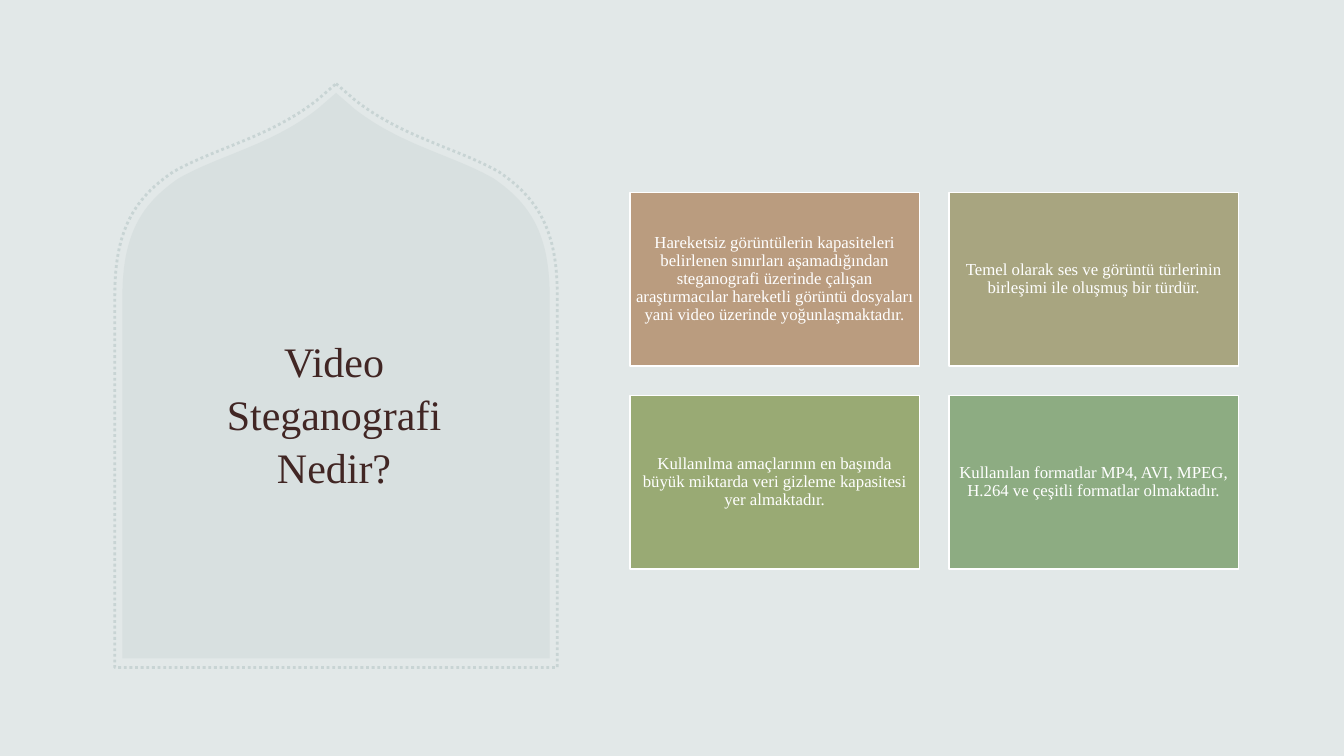
from lxml.etree import SubElement
from pptx import Presentation
from pptx.dml.color import RGBColor as RGB
from pptx.enum.dml import MSO_LINE
from pptx.enum.shapes import MSO_SHAPE
from pptx.enum.text import MSO_ANCHOR, PP_ALIGN
from pptx.oxml.ns import qn
from pptx.util import Cm, Pt

# Content
TITLE = "Video Steganografi Nedir?"
CARDS = [
    ("Hareketsiz görüntülerin kapasiteleri belirlenen sınırları aşamadığından "
     "steganografi üzerinde çalışan araştırmacılar hareketli görüntü dosyaları "
     "yani video üzerinde yoğunlaşmaktadır.", "BA9C7F"),
    ("Temel olarak ses ve görüntü türlerinin birleşimi ile oluşmuş bir türdür.", "A8A580"),
    ("Kullanılma amaçlarının en başında büyük miktarda veri gizleme kapasitesi "
     "yer almaktadır.", "99AA74"),
    ("Kullanılan formatlar MP4, AVI, MPEG, H.264 ve çeşitli formatlar olmaktadır.", "8DAC82"),
]
THEME = {
    "font": "Times New Roman", "title_size": 30, "card_size": 12,
    "background": "E2E8E8", "title": "412624", "card_text": "FFFFFF",
    "arch": "A2B5B5", "arch_alpha": 15, "arch_line": "C8D4D4",
}

# Layout in cm
ARCH_CENTER = 8.47
ARCH_FILL = (2.34, 10.77, 14.25)     # top, width, height
ARCH_BORDER = (2.11, 11.15, 14.71)
TITLE_BOX = (4.09, 6.4, 8.66, 8)
CARD_LEFT, CARD_TOP, CARD_W, CARD_H, CARD_GAP = 15.88, 4.85, 7.29, 4.37, 0.75
COLUMNS = 2

# Right half of the arch: percent of half width and of height
ARCH_TIP = (0, 0)
ARCH_SHOULDER = (8.7, 2.85)
ARCH_CURVES = [
    ((30.4, 9.27), (55, 11.05), (73.8, 15.15)),
    ((91.7, 19.8), (100, 25.3), (100, 36.2)),
]
ARCH_FOOT = (100, 100)
CURVE_STEPS = 24


def arch_half():
    points = [ARCH_TIP, ARCH_SHOULDER]
    for b, c, d in ARCH_CURVES:
        a = points[-1]
        for step in range(1, CURVE_STEPS + 1):
            t = step / CURVE_STEPS
            u = 1 - t
            weights = (u ** 3, 3 * u * u * t, 3 * u * t * t, t ** 3)
            points.append(tuple(sum(w * v for w, v in zip(weights, axis))
                                for axis in zip(a, b, c, d)))
    return points + [ARCH_FOOT]


def add_arch(s, top, width, height):
    right = arch_half()
    left = [(-x, y) for x, y in reversed(right[1:])]
    points = [(Cm(ARCH_CENTER + x * width / 200), Cm(top + y * height / 100))
              for x, y in right + left]
    builder = s.shapes.build_freeform(*points[0])
    builder.add_line_segments(points[1:], close=True)
    sp = builder.convert_to_shape()
    sp.shadow.inherit = False
    return sp


def set_fill(sp, color):
    sp.fill.solid()
    sp.fill.fore_color.rgb = RGB.from_string(color)


def set_line(sp, color, width):
    sp.line.color.rgb = RGB.from_string(color)
    sp.line.width = Pt(width)


def write(sp, text, size, color, spacing, inset):
    tf = sp.text_frame
    frame_format = {"word_wrap": True, "vertical_anchor": MSO_ANCHOR.MIDDLE}
    for side in ("left", "right", "top", "bottom"):
        frame_format[f"margin_{side}"] = Cm(inset)
    for name, value in frame_format.items():
        setattr(tf, name, value)
    p = tf.paragraphs[0]
    p.alignment, p.line_spacing = PP_ALIGN.CENTER, spacing
    r = p.add_run()
    r.text = text
    for name, value in {"name": THEME["font"], "size": Pt(size)}.items():
        setattr(r.font, name, value)
    r.font.color.rgb = RGB.from_string(color)


def main():
    prs = Presentation()
    prs.slide_width, prs.slide_height = Cm(33.87), Cm(19.05)
    s = prs.slides.add_slide(prs.slide_layouts[6])
    set_fill(s.background, THEME["background"])

    # Translucent arch
    sp = add_arch(s, *ARCH_FILL)
    set_fill(sp, THEME["arch"])
    color = sp.fill._xPr.find(qn("a:solidFill"))[0]
    SubElement(color, qn("a:alpha"), val=str(THEME["arch_alpha"] * 1000))
    sp.line.fill.background()

    # Dotted arch border
    sp = add_arch(s, *ARCH_BORDER)
    sp.fill.background()
    set_line(sp, THEME["arch_line"], 2)
    sp.line.dash_style = MSO_LINE.ROUND_DOT

    # Title
    sp = s.shapes.add_textbox(*map(Cm, TITLE_BOX))
    write(sp, TITLE, THEME["title_size"], THEME["title"], 1.05, 0.4)

    # Card grid
    for i, (text, fill) in enumerate(CARDS):
        row, column = divmod(i, COLUMNS)
        box = (CARD_LEFT + column * (CARD_W + CARD_GAP),
               CARD_TOP + row * (CARD_H + CARD_GAP), CARD_W, CARD_H)
        sp = s.shapes.add_shape(MSO_SHAPE.RECTANGLE, *map(Cm, box))
        sp.shadow.inherit = False
        set_fill(sp, fill)
        set_line(sp, THEME["card_text"], 1)
        write(sp, text, THEME["card_size"], THEME["card_text"], 0.9, 0.12)

    prs.save("out.pptx")


if __name__ == "__main__":
    main()
